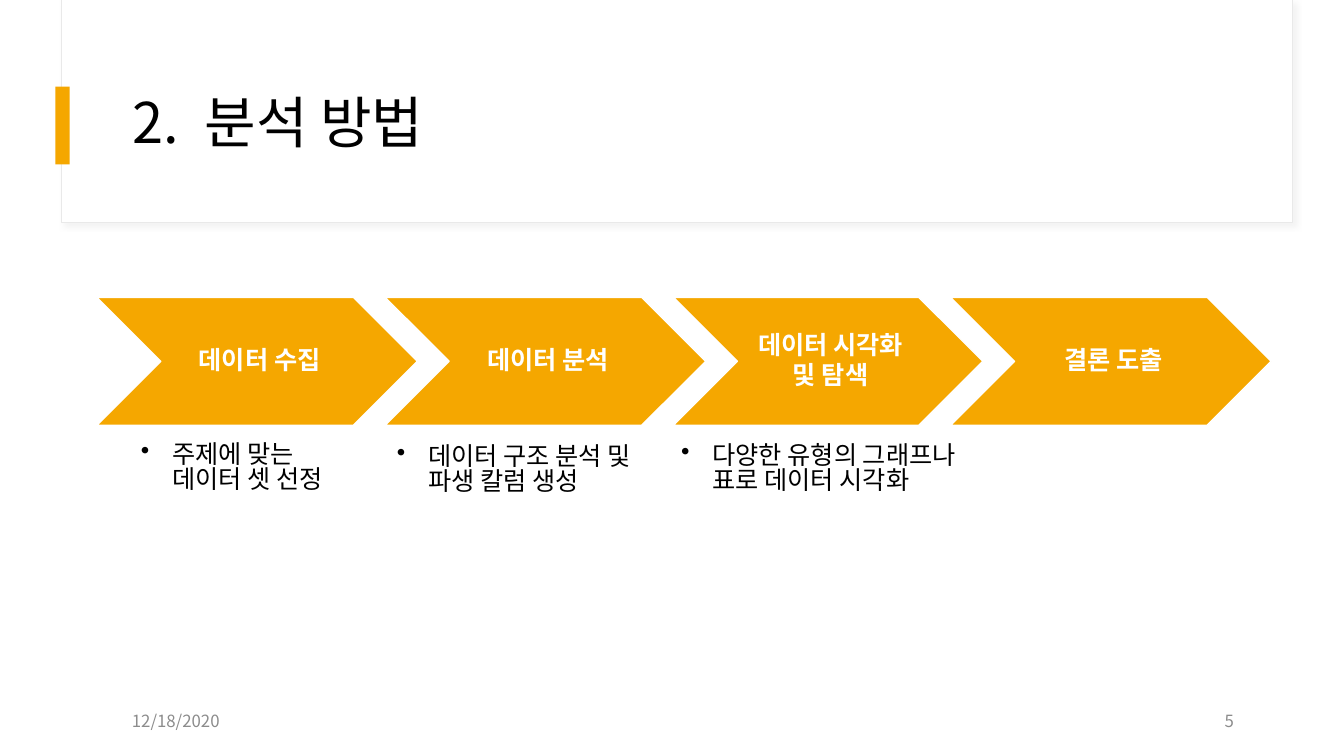
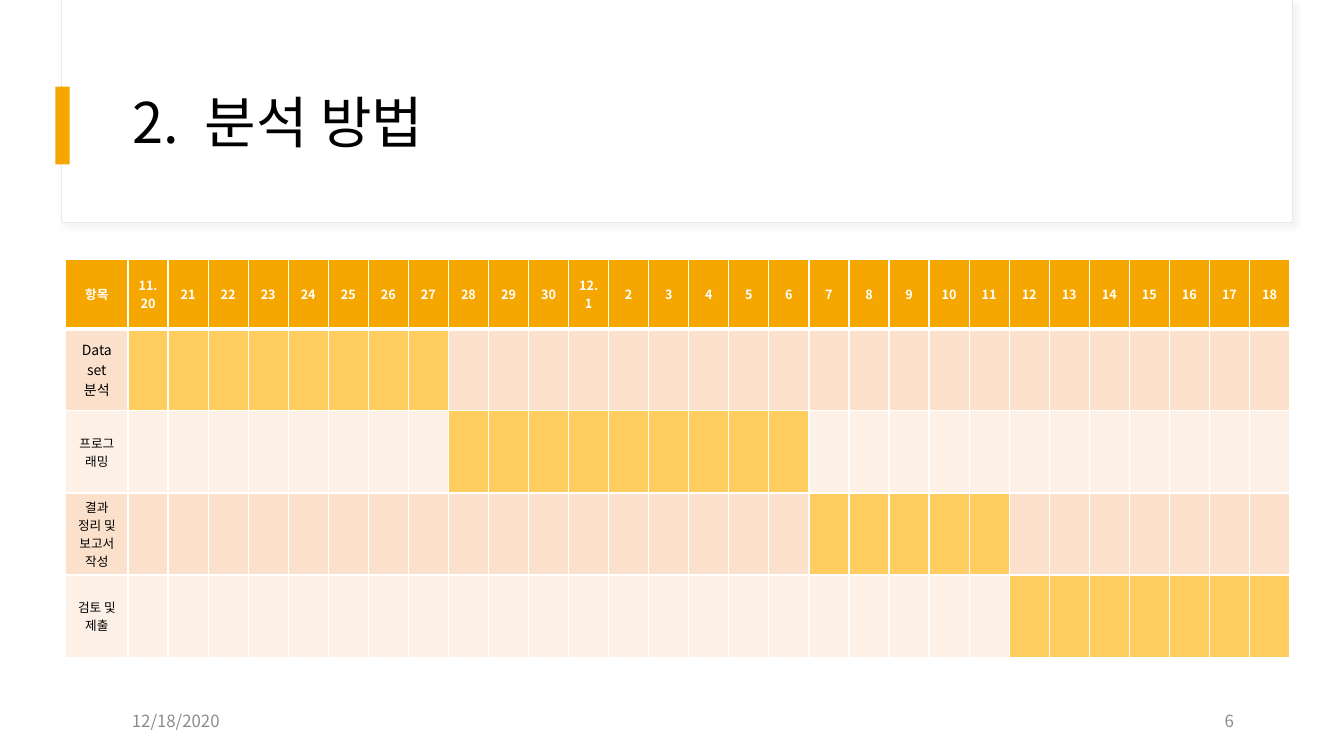
import dataclasses

import lxml.etree
import pptx
import pptx.dml.color
import pptx.enum.shapes
import pptx.enum.text
import pptx.oxml
import pptx.oxml.ns
import pptx.util

FONT = "Noto Sans CJK KR"
WHITE, BLACK, GREY = "FFFFFF", "000000", "8C8C8C"
ORANGE, BAR = "F5A700", "FFCC60"
BANDS = ("FBE1CC", "FDF1E7")
FRAME_LINE, FRAME_SHADOW = "E9E9E9", "D9D9D9"

SHAPE = pptx.enum.shapes.MSO_SHAPE
ALIGN = pptx.enum.text.PP_ALIGN
ANCHOR = pptx.enum.text.MSO_ANCHOR

STEPS = [("데이터 수집", 27.3), ("데이터 분석", 27.3),
         ("데이터 시각화\n및 탐색", 26.35), ("결론 도출", 27.3)]
STEP_OVERLAP = 2.75
NOTES = [("주제에 맞는 데이터 셋 선정", (9.75, 58, 16.95, 9.47)),
         ("데이터 구조 분석 및 파생 칼럼 생성", (28.8, 58.27, 21.23, 9.47)),
         ("다양한 유형의 그래프나 표로 데이터 시각화", (49.95, 58.13, 24.68, 9.47))]

DAYS = (["11.\n20"] + [str(day) for day in range(21, 31)]
        + ["12.\n1"] + [str(day) for day in range(2, 19)])
TASKS = [("Data set\n분석", 10, 1, 8), ("프로그래밍", 9, 9, 17),
         ("결과\n정리 및 보고서 작성", 9, 18, 22), ("검토 및 제출", 9, 23, 29)]


@dataclasses.dataclass
class Box:
    """A region whose inside is a grid of 100 columns and 100 rows."""
    left: float
    top: float
    width: float
    height: float

    def region(self, left, top, width, height):
        """Return the region that spans the given columns and rows."""
        return Box(self.left + self.width * left / 100, self.top + self.height * top / 100,
                   self.width * width / 100, self.height * height / 100)

    def place(self):
        """Return the region as four whole lengths."""
        return [pptx.util.Emu(round(length))
                for length in (self.left, self.top, self.width, self.height)]


def color(value):
    """Turn a hex string into a colour."""
    return pptx.dml.color.RGBColor.from_string(value)


def write(frame, text, size=18, ink=BLACK, bold=False, align=ALIGN.LEFT,
          anchor=ANCHOR.MIDDLE, spacing=None, after=0, bullet=False, insets=None):
    """Fill a text frame with one paragraph for each line of text."""
    frame.word_wrap = True
    frame.vertical_anchor = anchor
    if insets:
        set_insets(frame, insets)
    for index, line in enumerate(text.split("\n")):
        para = frame.add_paragraph() if index else frame.paragraphs[0]
        para.alignment = align
        para.space_after = pptx.util.Pt(after)
        if spacing:
            para.line_spacing = spacing
        if bullet:
            add_bullet(para)
        span = para.add_run()
        span.text = line
        style(span, size, ink, bold)


def set_insets(holder, insets):
    """Set the left, top, right and bottom margins of a frame or cell."""
    (holder.margin_left, holder.margin_top,
     holder.margin_right, holder.margin_bottom) = map(pptx.util.Inches, insets)


def style(span, size, ink, bold=False):
    """Set the font of a run, for Latin and Korean letters alike."""
    span.font.name = FONT
    span.font.size = pptx.util.Pt(size)
    span.font.bold = bold
    span.font.color.rgb = color(ink)
    east = lxml.etree.SubElement(span.font._element, pptx.oxml.ns.qn("a:ea"))
    east.set("typeface", FONT)


def add_bullet(para):
    """Give a paragraph a hanging round bullet."""
    props = para._p.get_or_add_pPr()
    indent = pptx.util.Inches(0.31)
    props.set("marL", str(indent))
    props.set("indent", str(-indent))
    lxml.etree.SubElement(props, pptx.oxml.ns.qn("a:buChar")).set("char", "•")


def add_text(page, box, text, **form):
    """Add a text box."""
    label = page.shapes.add_textbox(*box.place())
    write(label.text_frame, text, **form)
    return label


def add_block(page, box, fill, kind=SHAPE.RECTANGLE, line=None, weight=1):
    """Add a filled preset shape."""
    block = page.shapes.add_shape(kind, *box.place())
    block.shadow.inherit = False
    block.fill.solid()
    block.fill.fore_color.rgb = color(fill)
    if line:
        block.line.color.rgb = color(line)
        block.line.width = pptx.util.Pt(weight)
    else:
        block.line.fill.background()
    return block


def add_soft_shadow(block):
    """Give a shape a faint shadow to its lower right."""
    effects = block._element.spPr.find(pptx.oxml.ns.qn("a:effectLst"))
    effects.append(pptx.oxml.parse_xml(
        f'<a:outerShdw {pptx.oxml.ns.nsdecls("a")} blurRad="{pptx.util.Pt(4)}"'
        f' dist="{pptx.util.Pt(3)}" dir="2700000" algn="tl" rotWithShape="0">'
        f'<a:srgbClr val="{FRAME_SHADOW}"><a:alpha val="30000"/></a:srgbClr></a:outerShdw>'))


def add_page(deck, box, number, title):
    """Add a slide with the title frame, accent, date and number."""
    page = deck.slides.add_slide(deck.slide_layouts[6])
    header = add_block(page, box.region(4.58, 0, 91.58, 29.47), WHITE,
                       line=FRAME_LINE, weight=0.75)
    add_soft_shadow(header)
    add_block(page, box.region(4.13, 11.47, 1.05, 10.27), ORANGE)
    index, heading = title.split(" ", 1)
    label = add_text(page, box.region(9.15, 8, 83.4, 17.2), index, size=40, spacing=0.9)
    for text, gap in ((" ", 9), (heading, 0)):
        span = label.text_frame.paragraphs[0].add_run()
        span.text = text
        style(span, 40, BLACK)
        span.font._element.set("spc", str(gap * 100))
    add_text(page, box.region(9.08, 92.67, 22.5, 5.33), "12/18/2020", size=12, ink=GREY)
    add_text(page, box.region(70.05, 92.67, 22.5, 5.33), str(number), size=12, ink=GREY,
             align=ALIGN.RIGHT)
    return page


def add_process(page, box):
    """Add the row of overlapping chevrons."""
    left = 0
    for text, width in STEPS:
        chevron = add_block(page, box.region(left, 0, width, 100), ORANGE,
                            SHAPE.CHEVRON, line=WHITE)
        write(chevron.text_frame, text, ink=WHITE, bold=True, align=ALIGN.CENTER,
              spacing=0.9, after=1.5, insets=(0.08, 0.03, 0.03, 0.03))
        left += width - STEP_OVERLAP


def add_notes(page, box):
    """Add the bulleted notes under the chevrons."""
    for text, place in NOTES:
        add_text(page, box.region(*place), text, anchor=ANCHOR.TOP, spacing=0.82, bullet=True)


def paint_cell(cell, fill, top=1, bottom=1):
    """Set the borders and fill of a table cell."""
    props = cell._tc.get_or_add_tcPr()
    for side, weight in (("L", 1), ("R", 1), ("T", top), ("B", bottom)):
        props.append(pptx.oxml.parse_xml(
            f'<a:ln{side} {pptx.oxml.ns.nsdecls("a")} w="{pptx.util.Pt(weight)}">'
            f'<a:solidFill><a:srgbClr val="{WHITE}"/></a:solidFill></a:ln{side}>'))
    cell.fill.solid()
    cell.fill.fore_color.rgb = color(fill)


def write_cell(cell, text, **form):
    """Write centred text in a table cell."""
    cell.vertical_anchor = ANCHOR.MIDDLE
    set_insets(cell, (0.08, 0.04, 0.08, 0.04))
    write(cell.text_frame, text, align=ALIGN.CENTER, **form)


def add_schedule(page, box):
    """Add the schedule table with one bar of days for each task."""
    first_width, header_height = box.width * 0.051, box.height * 0.175
    table = page.shapes.add_table(len(TASKS) + 1, len(DAYS) + 1, *box.place()).table
    table.first_row = table.horz_banding = False
    for index, column in enumerate(table.columns):
        column.width = round((box.width - first_width) / len(DAYS) if index else first_width)
    for index, row in enumerate(table.rows):
        row.height = round((box.height - header_height) / len(TASKS)
                           if index else header_height)
    for index, text in enumerate(["항목"] + DAYS):
        cell = table.cell(0, index)
        paint_cell(cell, ORANGE, bottom=3)
        write_cell(cell, text, size=9, ink=WHITE, bold=True)
    for row, (name, size, start, end) in enumerate(TASKS, 1):
        for index in range(len(DAYS) + 1):
            fill = BAR if start <= index <= end else BANDS[(row - 1) % 2]
            paint_cell(table.cell(row, index), fill, top=3 if row == 1 else 1)
        write_cell(table.cell(row, 0), name, size=size)


def main():
    """Build and save the deck."""
    deck = pptx.Presentation()
    deck.slide_width = pptx.util.Inches(13.33)
    deck.slide_height = pptx.util.Inches(7.5)
    box = Box(0, 0, deck.slide_width, deck.slide_height)
    title = "2. 분석 방법"
    page = add_page(deck, box, 5, title)
    add_process(page, box.region(7.2, 39.33, 87.38, 16.93))
    add_notes(page, box)
    page = add_page(deck, box, 6, title)
    add_schedule(page, box.region(4.88, 34.27, 91.13, 52.67))
    deck.save("out.pptx")


if __name__ == "__main__":
    main()
